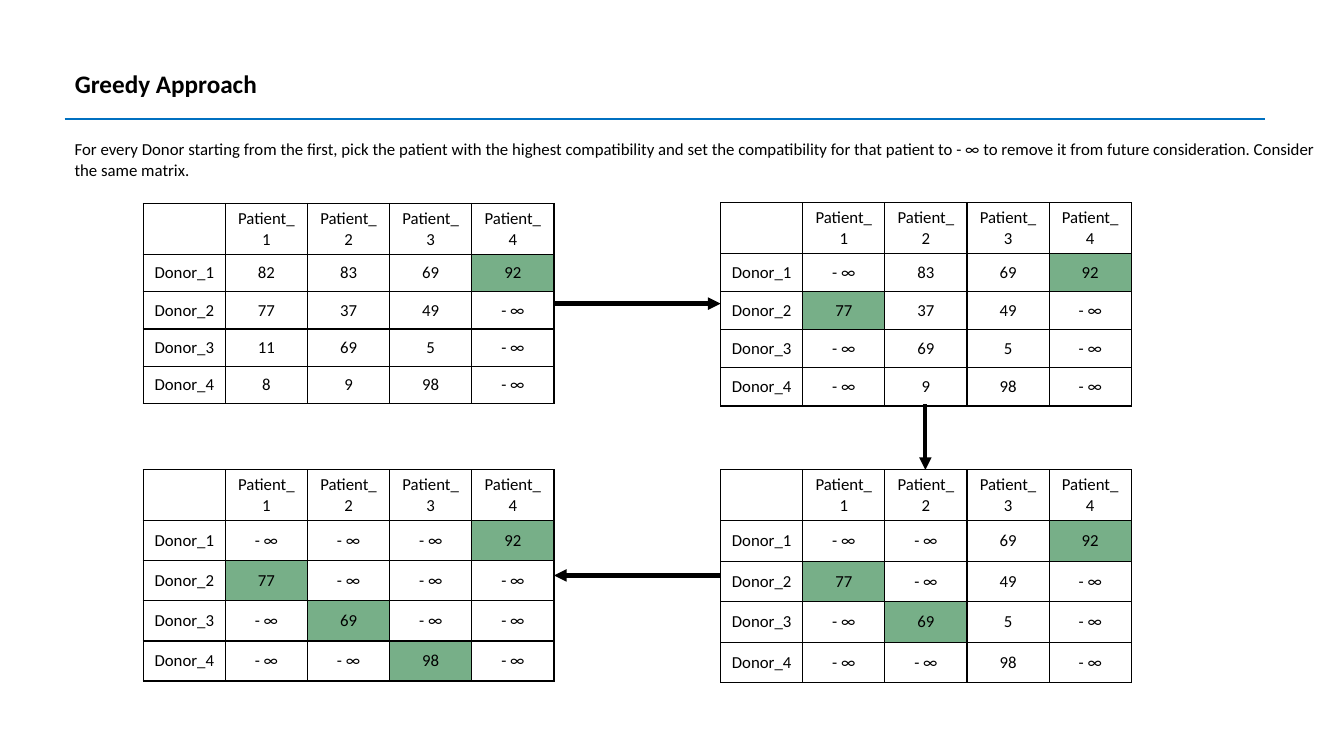
from lxml.etree import SubElement as Sub
from pptx import Presentation
from pptx.dml.color import RGBColor
from pptx.enum.shapes import MSO_CONNECTOR as Link
from pptx.enum.text import MSO_ANCHOR as Anchor, PP_ALIGN as Align
from pptx.oxml.ns import qn
from pptx.util import Cm, Pt

BLACK = RGBColor(0, 0, 0)
WHITE = RGBColor(255, 255, 255)
BLUE = RGBColor(0, 0x70, 0xC0)
GREEN = RGBColor(0x77, 0xAF, 0x88)

GONE = "- ∞"
SCORES = [
    [82, 83, 69, 92],
    [77, 37, 49, GONE],
    [11, 69, 5, GONE],
    [8, 9, 98, GONE],
]
PICKS = [3, 0, 1, 2]
LEFT, RIGHT = 3.61, 18.16
COL, HEAD = 2.07, 1.28
EDGE = LEFT + 5 * COL
LOW = 11.84
INTRO = (
    "For every Donor starting from the first, pick the patient with the highest "
    "compatibility and set the compatibility for that patient to - ∞ to remove it "
    "from future consideration. Consider the same matrix."
)


def matrix(step):
    taken = {PICKS[row]: row for row in range(step)}
    rows = [[""] + [f"Patient_{n}" for n in range(1, 5)]]
    for row, scores in enumerate(SCORES):
        cells = [
            str(score) if taken.get(col, row) == row else GONE
            for col, score in enumerate(scores)
        ]
        rows.append([f"Donor_{row + 1}"] + cells)
    chosen = {(row + 1, col + 1) for col, row in taken.items()}
    return rows, chosen


class Page:
    def __init__(self, deck, font):
        self.font = font
        self.slide = deck.slides.add_slide(deck.slide_layouts[5])

    def say(self, par, text, size=12, bold=False):
        run = par.add_run()
        run.text = text
        run.font.name = self.font
        run.font.size = Pt(size)
        run.font.bold = bold
        run.font.color.rgb = BLACK

    def title(self, text, x, y, w, h):
        box = self.slide.shapes.title
        box.left, box.top, box.width, box.height = Cm(x), Cm(y), Cm(w), Cm(h)
        box.text_frame.vertical_anchor = Anchor.MIDDLE
        par = box.text_frame.paragraphs[0]
        par.alignment = Align.LEFT
        par.line_spacing = 0.9
        self.say(par, text, 18, True)

    def text(self, text, x, y, w, h):
        box = self.slide.shapes.add_textbox(Cm(x), Cm(y), Cm(w), Cm(h))
        box.text_frame.word_wrap = True
        self.say(box.text_frame.paragraphs[0], text)

    def line(self, x1, y1, x2, y2, color=BLACK, width=3, arrow=True):
        line = self.slide.shapes.add_connector(
            Link.STRAIGHT, Cm(x1), Cm(y1), Cm(x2), Cm(y2)
        )
        line.line.color.rgb = color
        line.line.width = Pt(width)
        props = line._element.spPr
        if arrow:
            Sub(props.find(qn("a:ln")), qn("a:tailEnd"), type="triangle")
        Sub(props, qn("a:effectLst"))

    def cell(self, cell, text, fill):
        props = cell._tc.get_or_add_tcPr()
        for side in ("lnL", "lnR", "lnT", "lnB"):
            edge = Sub(props, qn(f"a:{side}"), w=str(Pt(1)))
            Sub(Sub(edge, qn("a:solidFill")), qn("a:srgbClr"), val=str(BLACK))
        cell.fill.solid()
        cell.fill.fore_color.rgb = fill
        cell.vertical_anchor = Anchor.MIDDLE
        if text:
            par = cell.text_frame.paragraphs[0]
            par.alignment = Align.CENTER
            self.say(par, text)

    def table(self, step, x, y, high):
        rows, chosen = matrix(step)
        size = len(rows)
        table = self.slide.shapes.add_table(
            size, size, Cm(x), Cm(y), Cm(size * COL), Cm(HEAD + (size - 1) * high)
        ).table
        table.first_row = table.horz_banding = False
        for col in table.columns:
            col.width = Cm(COL)
        for r, texts in enumerate(rows):
            table.rows[r].height = Cm(high if r else HEAD)
            for c, text in enumerate(texts):
                fill = GREEN if (r, c) in chosen else WHITE
                self.cell(table.cell(r, c), text, fill)


def main():
    deck = Presentation()
    deck.slide_width, deck.slide_height = Cm(33.87), Cm(19.05)
    page = Page(deck, "Calibri")
    page.title("Greedy Approach", 1.63, 1.52, 27.31, 1.24)
    page.line(1.63, 3, 31.88, 3, BLUE, 1.5, False)
    page.text(INTRO, 1.63, 3.38, 32, 1.45)
    page.table(1, LEFT, 5.13, 0.94)
    page.table(2, RIGHT, 5.11, 0.96)
    page.table(3, RIGHT, LOW, 1.02)
    page.table(4, LEFT, LOW, 1.01)
    page.line(EDGE, 7.65, RIGHT, 7.65)
    page.line(23.32, 10.19, 23.32, LOW)
    page.line(RIGHT, 14.5, EDGE, 14.5)
    deck.save("out.pptx")


if __name__ == "__main__":
    main()
